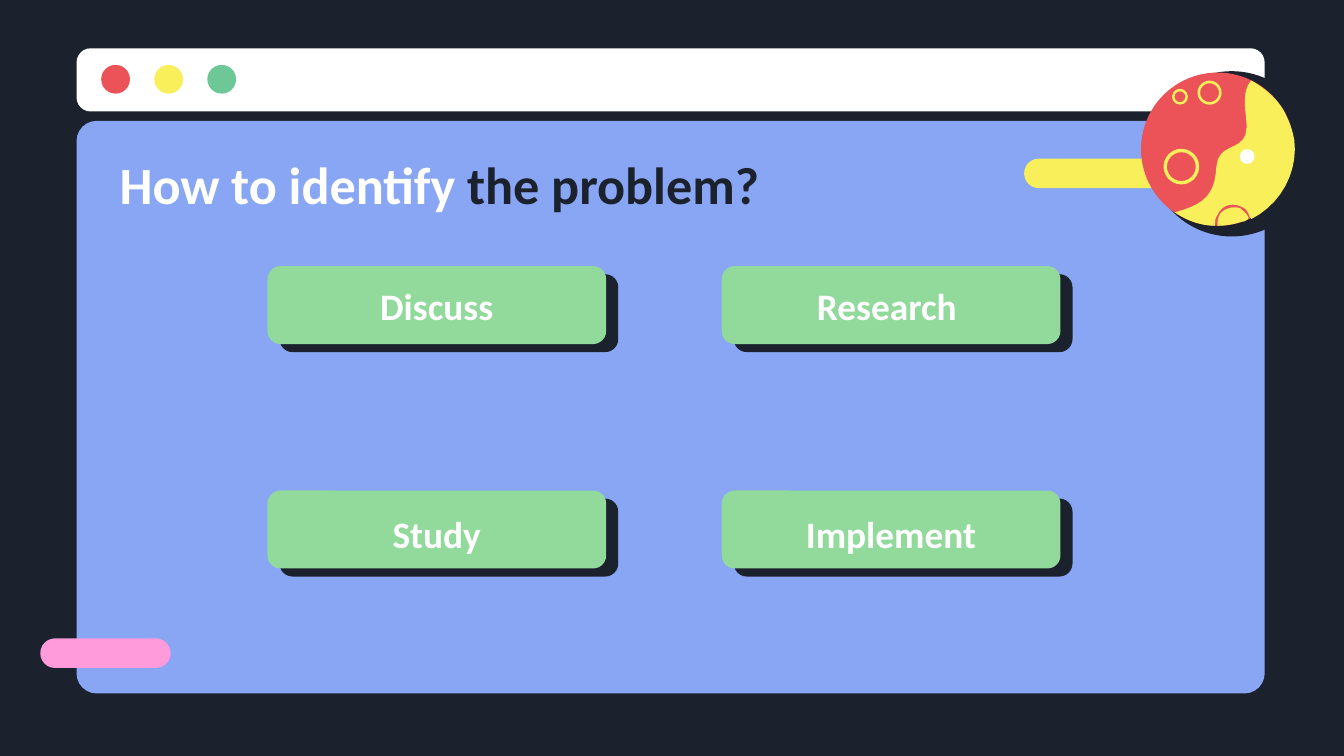
from typing import NamedTuple

import pptx
import pptx.dml.color
import pptx.enum.shapes
import pptx.enum.text
import pptx.util

Inches = pptx.util.Inches
Shape = pptx.enum.shapes.MSO_SHAPE
Align = pptx.enum.text.PP_ALIGN

COLORS = {
    "dark": "1B222D",
    "blue": "88A6F3",
    "white": "FFFFFF",
    "red": "EB5358",
    "yellow": "F8EF5B",
    "teal": "6DC797",
    "green": "92D99C",
    "pink": "FF9BDA",
}
FONT = "Calibri"
CURVE_STEPS = 10


class Box(NamedTuple):
    left: float
    top: float
    width: float
    height: float


class Button(NamedTuple):
    label: str
    column: int
    row: int


class Crater(NamedTuple):
    x: float
    y: float
    radius: float
    line_points: float


BUTTONS = [
    Button("Discuss", 0, 0),
    Button("Research ", 1, 0),
    Button("Study", 0, 1),
    Button("Implement", 1, 1),
]
CRATERS = [
    Crater(9.0, 0.69, 0.08, 1.4),
    Crater(8.79, 1.24, 0.12, 1.8),
    Crater(8.78, 0.72, 0.05, 1.3),
]

# Yellow land: a start point, then cubic curves (two controls and an end)
LAND = [
    (9.31, 0.6),
    (9.4, 0.65), (9.49, 0.72), (9.55, 0.82),
    (9.57, 0.86), (9.59, 0.9), (9.6, 0.93),
    (9.61, 0.96), (9.62, 0.99), (9.63, 1.04),
    (9.66, 1.28), (9.53, 1.52), (9.31, 1.63),
    (9.31, 1.62), (9.3, 1.62), (9.3, 1.62),
    (9.29, 1.58), (9.27, 1.55), (9.24, 1.54),
    (9.2, 1.52), (9.17, 1.52), (9.13, 1.53),
    (9.1, 1.54), (9.07, 1.57), (9.06, 1.6),
    (9.04, 1.62), (9.04, 1.65), (9.04, 1.68),
    (8.93, 1.68), (8.83, 1.64), (8.74, 1.58),
    (8.97, 1.52), (9.04, 1.44), (9.05, 1.24),
    (9.07, 1.02), (9.32, 1.17), (9.27, 0.86),
    (9.25, 0.72), (9.27, 0.64), (9.31, 0.6),
]
LAND_CRATER = [
    (9.29, 1.63),
    (9.29, 1.63), (9.29, 1.63), (9.29, 1.62),
    (9.28, 1.59), (9.25, 1.57), (9.23, 1.55),
    (9.2, 1.54), (9.17, 1.54), (9.14, 1.55),
    (9.11, 1.56), (9.08, 1.58), (9.07, 1.61),
    (9.06, 1.63), (9.06, 1.66), (9.06, 1.68),
    (9.12, 1.68), (9.18, 1.67), (9.24, 1.65),
    (9.26, 1.65), (9.27, 1.64), (9.29, 1.63),
]


def rgb(name: str):
    return pptx.dml.color.RGBColor.from_string(COLORS[name])


def paint(shape, color: str) -> None:
    shape.shadow.inherit = False
    shape.fill.solid()
    shape.fill.fore_color.rgb = rgb(color)
    shape.line.fill.background()


def add_shape(slide, kind, box: Box, color: str, corner: float | None = None):
    shape = slide.shapes.add_shape(kind, *map(Inches, box))
    paint(shape, color)
    if corner is not None:
        shape.adjustments[0] = corner
    return shape


def add_circle(slide, x: float, y: float, radius: float, color: str):
    box = Box(x - radius, y - radius, 2 * radius, 2 * radius)
    return add_shape(slide, Shape.OVAL, box, color)


def add_crater(slide, crater: Crater) -> None:
    shape = add_circle(slide, crater.x, crater.y, crater.radius, "red")
    shape.fill.background()
    shape.line.color.rgb = rgb("yellow")
    shape.line.width = pptx.util.Pt(crater.line_points)


def add_curved_shape(slide, points: list[tuple[float, float]], color: str) -> None:
    vertices = []
    for index in range(0, len(points) - 1, 3):
        curve = points[index:index + 4]
        for step in range(1, CURVE_STEPS + 1):
            t = step / CURVE_STEPS
            weights = ((1 - t) ** 3, 3 * t * (1 - t) ** 2, 3 * t * t * (1 - t), t ** 3)
            vertices.append(tuple(
                Inches(sum(weight * point[axis] for weight, point in zip(weights, curve)))
                for axis in (0, 1)
            ))
    builder = slide.shapes.build_freeform(*map(Inches, points[0]))
    builder.add_line_segments(vertices, close=True)
    paint(builder.convert_to_shape(), color)


def prepare_text(shape, alignment):
    frame = shape.text_frame
    frame.word_wrap = True
    frame.auto_size = pptx.enum.text.MSO_AUTO_SIZE.NONE
    frame.vertical_anchor = pptx.enum.text.MSO_ANCHOR.MIDDLE
    frame.margin_left = frame.margin_right = Inches(0.1)
    frame.margin_top = frame.margin_bottom = Inches(0.1)
    paragraph = frame.paragraphs[0]
    paragraph.alignment = alignment
    return paragraph


def format_run(run, size: float, color: str) -> None:
    run.font.name = FONT
    run.font.size = pptx.util.Pt(size)
    run.font.bold = True
    run.font.color.rgb = rgb(color)


def add_button(slide, button: Button) -> None:
    left = 1.99 + 3.38 * button.column
    top = 1.98 + 1.67 * button.row
    for offset_x, offset_y, color in ((0.09, 0.06, "dark"), (0, 0, "green")):
        box = Box(left + offset_x, top + offset_y, 2.52, 0.58)
        add_shape(slide, Shape.ROUNDED_RECTANGLE, box, color, 0.167)
    label_box = Box(left + 0.38, 1.98 + 1.7 * button.row, 1.76, 0.58)
    label = slide.shapes.add_textbox(*map(Inches, label_box))
    paragraph = prepare_text(label, Align.CENTER)
    paragraph.text = button.label
    format_run(paragraph.runs[0], 20, "white")


def add_title(slide) -> None:
    title = slide.shapes.title
    title.left, title.top, title.width, title.height = map(Inches, (0.79, 1.06, 6.22, 0.62))
    paragraph = prepare_text(title, Align.LEFT)
    for text, color in (("How to identify ", "white"), ("the problem?", "dark")):
        run = paragraph.add_run()
        run.text = text
        format_run(run, 28, color)
    # Bring the title in front of the window
    title.element.getparent().append(title.element)


def add_window(slide) -> None:
    add_shape(slide, Shape.ROUNDED_RECTANGLE, Box(0.57, 0.9, 8.84, 4.26), "blue", 0.035)
    add_shape(slide, Shape.ROUNDED_RECTANGLE, Box(0.57, 0.36, 8.84, 0.47), "white", 0.223)
    for index, color in enumerate(("red", "yellow", "teal")):
        add_circle(slide, 0.86 + 0.395 * index, 0.59, 0.107, color)
    add_shape(slide, Shape.ROUNDED_RECTANGLE, Box(7.62, 1.18, 1.08, 0.22), "yellow", 0.5)
    add_shape(slide, Shape.ROUNDED_RECTANGLE, Box(0.3, 4.75, 0.97, 0.22), "pink", 0.5)


def add_planet(slide) -> None:
    add_circle(slide, 9.165, 1.145, 0.615, "dark")
    add_circle(slide, 9.06, 1.11, 0.57, "red")
    for crater in CRATERS:
        add_crater(slide, crater)
    for points in (LAND, LAND_CRATER):
        add_curved_shape(slide, points, "yellow")
    add_circle(slide, 9.28, 1.165, 0.055, "white")


def main() -> None:
    presentation = pptx.Presentation()
    # Widescreen 16:9
    presentation.slide_width = Inches(10)
    presentation.slide_height = Inches(10 * 9 / 16)
    slide = presentation.slides.add_slide(presentation.slide_layouts[5])
    slide.background.fill.solid()
    slide.background.fill.fore_color.rgb = rgb("dark")
    add_window(slide)
    add_planet(slide)
    add_title(slide)
    for button in BUTTONS:
        add_button(slide, button)
    presentation.save("out.pptx")


if __name__ == "__main__":
    main()
